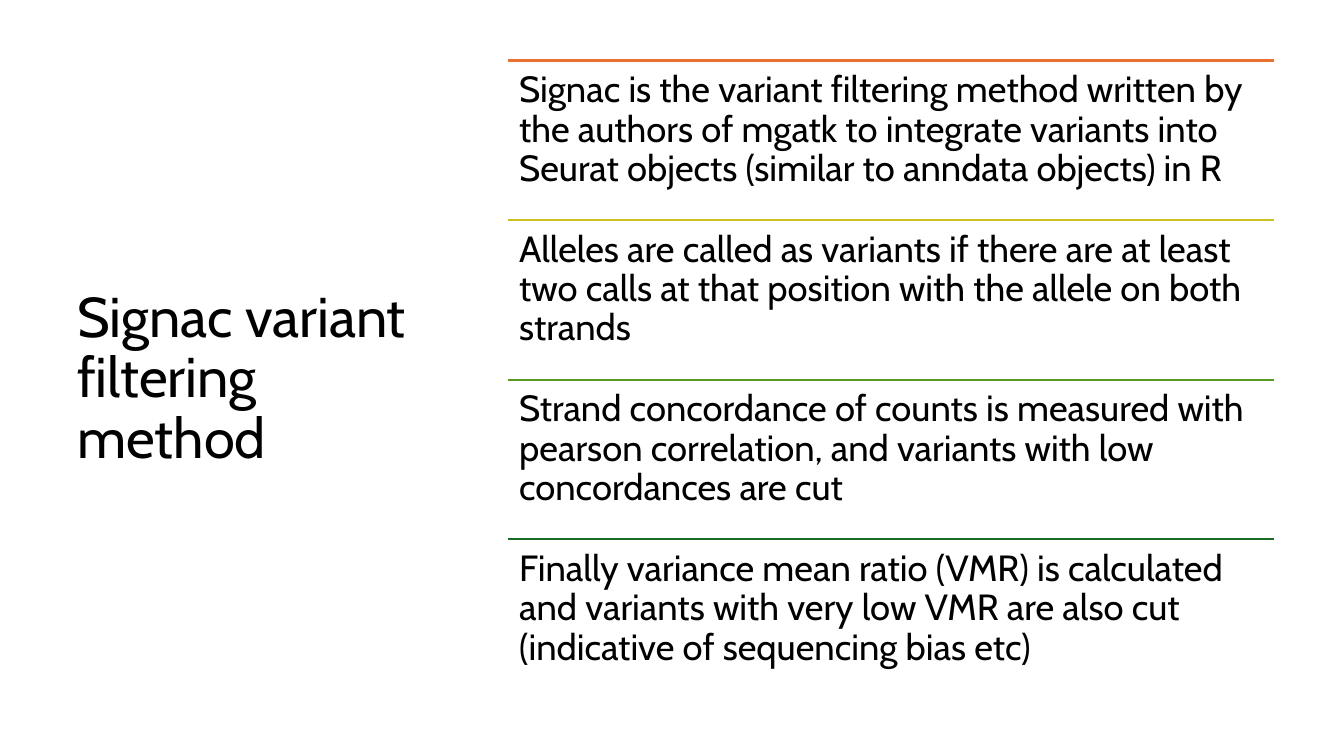
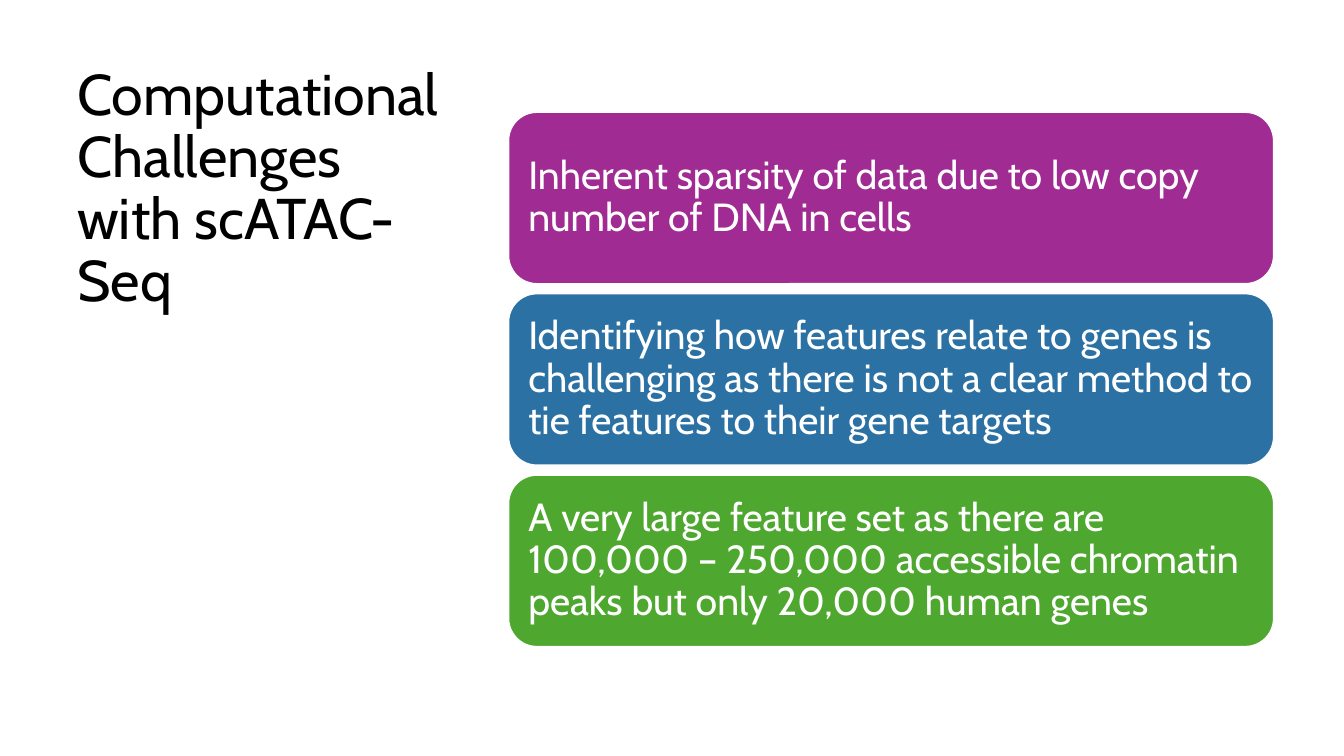
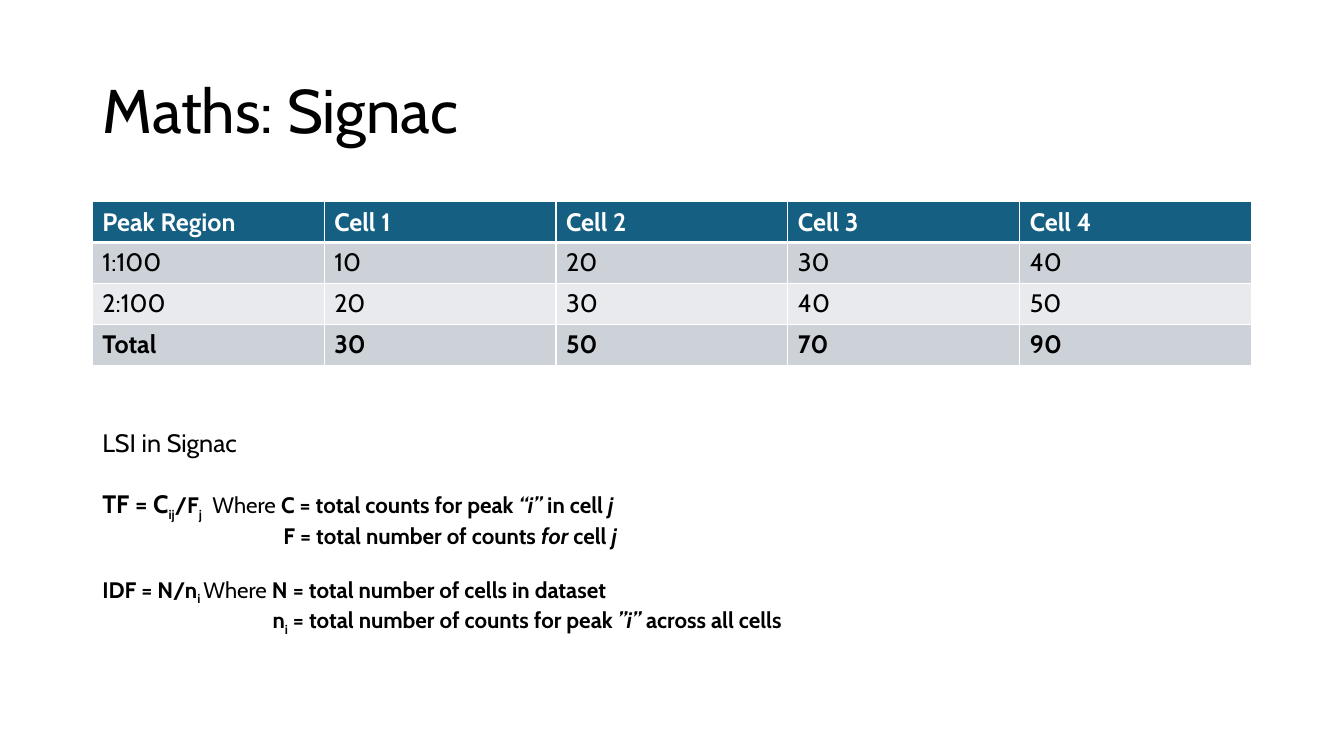
from dataclasses import dataclass
from typing import NamedTuple

import lxml.etree
import pptx
import pptx.dml.color
import pptx.enum.shapes
import pptx.enum.text
import pptx.oxml.ns
import pptx.util

Pt = pptx.util.Pt
qn = pptx.oxml.ns.qn
ANCHOR = pptx.enum.text.MSO_ANCHOR

FONT = "Cabin"
BLACK = "000000"
WHITE = "FFFFFF"
HEADER_FILL = "156082"
BAND_FILLS = ("CCD2D8", "E8EAED")


class Box(NamedTuple):
    left: float
    top: float
    width: float
    height: float


@dataclass
class Item:
    text: str
    color: str


class Span(NamedTuple):
    text: str
    bold: bool = True
    italic: bool = False
    sub: bool = False
    size: float = 16


@dataclass
class Line:
    spans: list[Span]
    before: float = 0
    indent: float = 0
    tab: float = 0


SIDE_TITLE = Box(48, 43.2, 275, 455.8)
WIDE_TITLE = Box(66, 28.8, 828, 104.4)
LIST_LEFT, LIST_WIDTH = 363, 547

METHOD_STEPS = [
    Item("Signac is the variant filtering method written by the authors of mgatk to "
         "integrate variants into Seurat objects (similar to anndata objects) in R", "E97132"),
    Item("Alleles are called as variants if there are at least two calls at that "
         "position with the allele on both strands", "CBC11E"),
    Item("Strand concordance of counts is measured with pearson correlation, and "
         "variants with low concordances are cut", "56991D"),
    Item("Finally variance mean ratio (VMR) is calculated and variants with very low "
         "VMR are also cut (indicative of sequencing bias etc)", "196B24"),
]

CHALLENGES = [
    Item("Inherent sparsity of data due to low copy number of DNA in cells", "A02B93"),
    Item("Identifying how features relate to genes is challenging as there is not a "
         "clear method to tie features to their gene targets", "2C71A4"),
    Item("A very large feature set as there are 100,000 – 250,000 accessible chromatin "
         "peaks but only 20,000 human genes", "4EA72E"),
]

COUNTS = [
    ["Peak Region", "Cell 1", "Cell 2", "Cell 3", "Cell 4"],
    ["1:100", "10", "20", "30", "40"],
    ["2:100", "20", "30", "40", "50"],
    ["Total", "30", "50", "70", "90"],
]

FORMULAS = [
    Line([Span("LSI in Signac", bold=False, size=18)]),
    Line([Span("TF = C", size=18), Span("ij", sub=True), Span("/F"), Span("j", sub=True),
          Span("\tWhere ", bold=False), Span("C = total counts for peak "),
          Span("“i”", italic=True), Span(" in cell "), Span("j", italic=True)],
         before=22, tab=78.7),
    Line([Span("F = total number of counts "), Span("for", italic=True),
          Span(" cell "), Span("j", italic=True)], indent=129.4),
    Line([Span("IDF = N/n"), Span("i ", sub=True), Span("Where ", bold=False),
          Span("N = total number of cells in dataset")], before=19.5),
    Line([Span("n"), Span("i", sub=True), Span(" = total number of counts for peak "),
          Span("”i”", italic=True), Span(" across all cells")], indent=121.6),
]


def rgb(color: str) -> pptx.dml.color.RGBColor:
    return pptx.dml.color.RGBColor.from_string(color)


def points(box: Box) -> list[pptx.util.Length]:
    return [Pt(v) for v in box]


def style_font(font, size: float, color: str = BLACK, bold: bool = False,
               italic: bool = False) -> None:
    font.name = FONT
    font.size = Pt(size)
    font.bold = bold
    font.italic = italic
    font.color.rgb = rgb(color)


def fill_frame(tf, text: str, size: float, color: str, anchor, inset: float | None = None) -> None:
    tf.text = text
    tf.word_wrap = True
    tf.auto_size = pptx.enum.text.MSO_AUTO_SIZE.NONE
    tf.vertical_anchor = anchor
    if inset is not None:
        tf.margin_left = tf.margin_top = tf.margin_right = tf.margin_bottom = Pt(inset)
    p = tf.paragraphs[0]
    p.alignment = pptx.enum.text.PP_ALIGN.LEFT
    p.line_spacing = 0.9
    style_font(p.runs[0].font, size, color)


def add_titled_slide(prs, title: str, box: Box, size: float, anchor=ANCHOR.MIDDLE):
    s = prs.slides.add_slide(prs.slide_layouts[5])
    sp = s.shapes.title
    sp.left, sp.top, sp.width, sp.height = points(box)
    fill_frame(sp.text_frame, title, size, BLACK, anchor)
    return s


def add_rule(s, left: float, top: float, width: float, color: str) -> None:
    rule = s.shapes.add_connector(pptx.enum.shapes.MSO_CONNECTOR.STRAIGHT,
                                  Pt(left), Pt(top), Pt(left + width), Pt(top))
    rule.line.color.rgb = rgb(color)
    rule.line.width = Pt(1.5)
    lxml.etree.SubElement(rule._element.spPr, qn("a:effectLst"))


def add_ruled_list(s, items: list[Item], top: float, step: float) -> None:
    for i, item in enumerate(items):
        y = top + i * step
        add_rule(s, LIST_LEFT, y, LIST_WIDTH, item.color)
        sp = s.shapes.add_textbox(*points(Box(LIST_LEFT, y, LIST_WIDTH, step)))
        fill_frame(sp.text_frame, item.text, 26, BLACK, ANCHOR.TOP, 7.8)


def add_cards(s, items: list[Item], top: float, height: float, gap: float) -> None:
    for i, item in enumerate(items):
        box = Box(LIST_LEFT, top + i * (height + gap), LIST_WIDTH, height)
        sp = s.shapes.add_shape(pptx.enum.shapes.MSO_SHAPE.ROUNDED_RECTANGLE, *points(box))
        sp.shadow.inherit = False
        sp.fill.solid()
        sp.fill.fore_color.rgb = rgb(item.color)
        sp.line.color.rgb = rgb(WHITE)
        sp.line.width = Pt(1.5)
        fill_frame(sp.text_frame, item.text, 28, WHITE, ANCHOR.MIDDLE, 8.4)


def set_border(cell, side: str, width: float) -> None:
    ln = lxml.etree.SubElement(cell._tc.get_or_add_tcPr(), qn(f"a:ln{side}"), w=str(Pt(width)))
    fill = lxml.etree.SubElement(ln, qn("a:solidFill"))
    lxml.etree.SubElement(fill, qn("a:srgbClr"), val=WHITE)


def add_count_table(s, rows: list[list[str]], box: Box) -> None:
    table = s.shapes.add_table(len(rows), len(rows[0]), *points(box)).table
    last = len(rows) - 1
    for i, row in enumerate(rows):
        header = i == 0
        for j, text in enumerate(row):
            cell = table.cell(i, j)
            for side in "LRTB":
                under_header = (i, side) in ((0, "B"), (1, "T"))
                set_border(cell, side, 3 if under_header else 1)
            cell.fill.solid()
            cell.fill.fore_color.rgb = rgb(HEADER_FILL if header else BAND_FILLS[(i - 1) % 2])
            cell.text_frame.text = text
            style_font(cell.text_frame.paragraphs[0].runs[0].font, 18,
                       WHITE if header else BLACK, bold=i in (0, last))


def add_formulas(s, lines: list[Line], box: Box) -> None:
    tf = s.shapes.add_textbox(*points(box)).text_frame
    tf.word_wrap = True
    for i, line in enumerate(lines):
        p = tf.add_paragraph() if i else tf.paragraphs[0]
        pPr = p._p.get_or_add_pPr()
        if line.indent:
            pPr.set("marL", str(Pt(line.indent)))
        if line.tab:
            tabs = lxml.etree.SubElement(pPr, qn("a:tabLst"))
            lxml.etree.SubElement(tabs, qn("a:tab"), pos=str(Pt(line.tab)), algn="l")
        if line.before:
            p.space_before = Pt(line.before)
        for span in line.spans:
            r = p.add_run()
            r.text = span.text
            style_font(r.font, span.size, bold=span.bold, italic=span.italic)
            if span.sub:
                r._r.get_or_add_rPr().set("baseline", "-25000")


def main() -> None:
    prs = pptx.Presentation()
    prs.slide_width, prs.slide_height = Pt(960), Pt(540)

    s = add_titled_slide(prs, "Signac variant filtering method", SIDE_TITLE, 40)
    add_ruled_list(s, METHOD_STEPS, top=43.2, step=114)

    s = add_titled_slide(prs, "Computational Challenges with scATAC-Seq", SIDE_TITLE, 41,
                         ANCHOR.TOP)
    add_cards(s, CHALLENGES, top=79.9, height=123, gap=6.6)

    s = add_titled_slide(prs, "Maths: Signac", WIDE_TITLE, 44)
    add_count_table(s, COUNTS, Box(66, 144, 828, 116.8))
    add_formulas(s, FORMULAS, Box(66, 301.7, 842, 174))

    prs.save("out.pptx")


if __name__ == "__main__":
    main()
